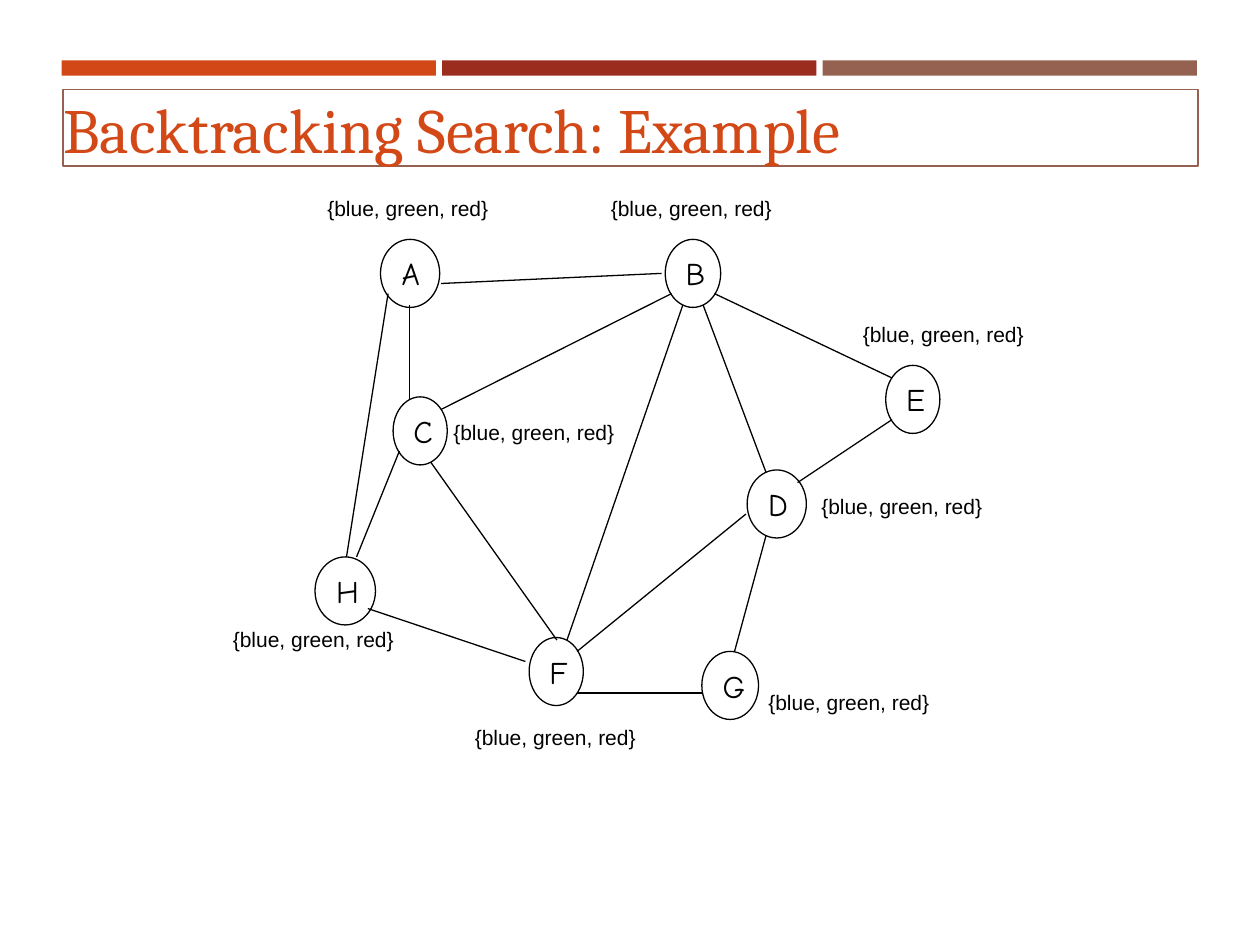
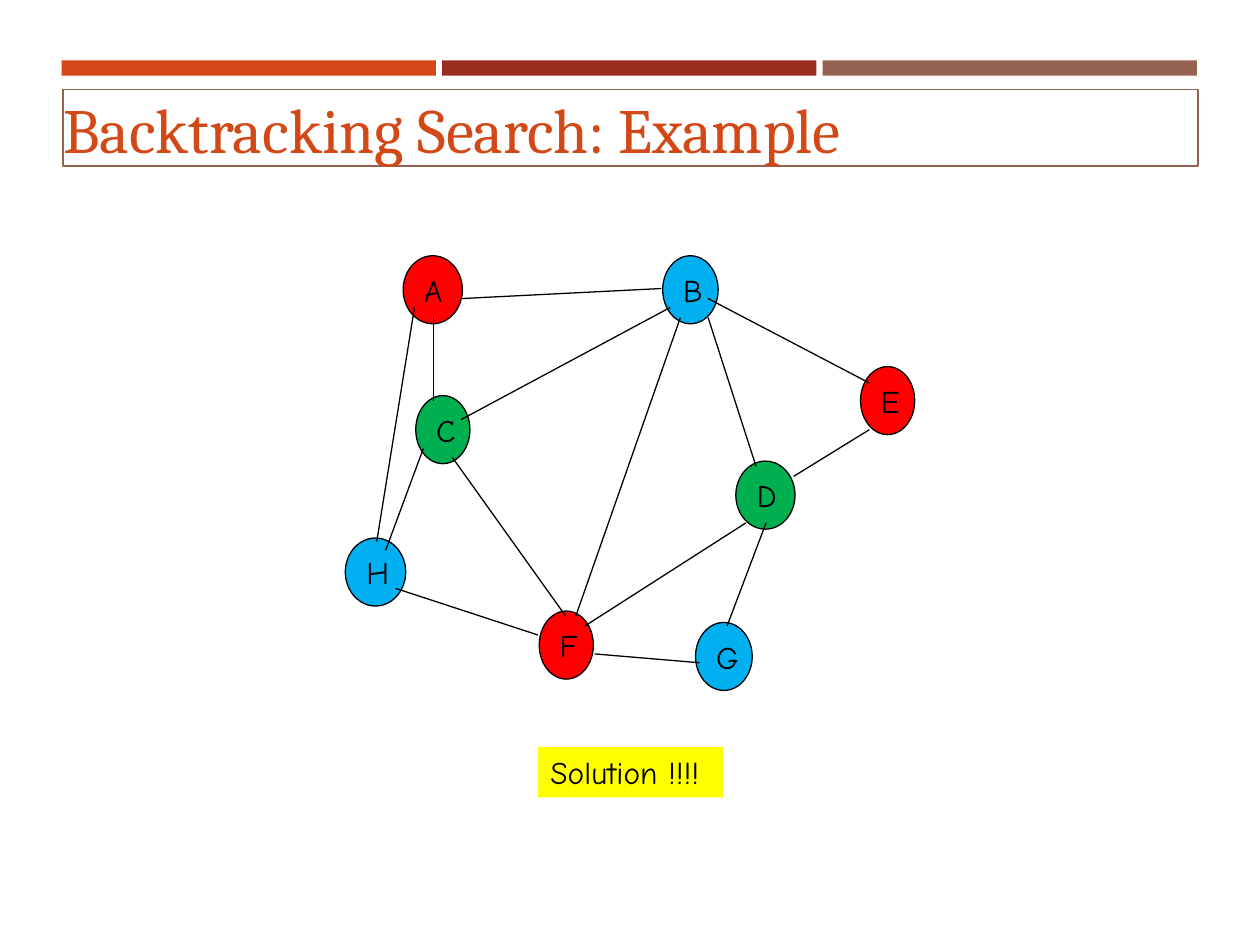
from lxml import etree
from pptx import Presentation
from pptx import util as u
from pptx.dml import color
from pptx.enum import shapes, text
from pptx.oxml import ns

COLOURS = {
    "orange": "D34817", "rust": "9B2D1F", "brown": "956251",
    "black": "000000", "red": "FF0000", "green": "00B050",
    "blue": "00B0F0", "yellow": "FFFF00",
}
NODE_WIDTHS = {"A": 0.47, "B": 0.44, "C": 0.43, "D": 0.47,
               "E": 0.43, "F": 0.43, "G": 0.45, "H": 0.48}
NODE_HEIGHT = 0.54
DOMAIN = "{blue, green, red}"

DOMAIN_NODES = {
    "A": (0.52, 0.4), "B": (2.78, 0.4), "C": (0.62, 1.65), "D": (3.43, 2.23),
    "E": (4.53, 1.4), "F": (1.7, 3.56), "G": (3.07, 3.67), "H": (0, 2.92),
}
DOMAIN_EDGES = {
    "AC": (0.75, 0.92, 0.75, 1.67), "CB": (1, 1.75, 2.83, 0.83),
    "FC": (1.92, 3.58, 0.92, 2.17), "FD": (2.08, 3.67, 3.42, 2.58),
    "AB": (1, 0.75, 2.75, 0.67), "FB": (2, 3.58, 2.92, 0.92),
    "BD": (3.08, 0.92, 3.58, 2.25), "BE": (3.17, 0.83, 4.58, 1.5),
    "DE": (3.83, 2.33, 4.58, 1.83), "FG": (2.08, 4, 3.08, 4),
    "DG": (3.58, 2.75, 3.33, 3.67), "CH": (0.67, 2.08, 0.33, 2.92),
    "HF": (0.42, 3.33, 1.67, 3.75), "AH": (0.58, 0.83, 0.25, 2.92),
}
DOMAIN_LABELS = {
    "A": (0, 0), "B": (2.25, 0), "C": (1, 1.78), "D": (3.92, 2.37),
    "E": (4.25, 1), "F": (1.17, 4.2), "G": (3.5, 3.92), "H": (-0.75, 3.42),
}

SOLUTION_NODES = {
    "A": (0.7, 0.03), "B": (2.76, 0.03), "C": (0.8, 1.14), "D": (3.34, 1.66),
    "E": (4.33, 0.91), "F": (1.78, 2.85), "G": (3.02, 2.94), "H": (0.24, 2.27),
}
SOLUTION_EDGES = {
    "AC": (0.94, 0.52, 0.94, 1.18), "CB": (1.16, 1.33, 2.82, 0.44),
    "FC": (1.99, 2.89, 1.09, 1.63), "FD": (2.14, 2.97, 3.42, 2.15),
    "AB": (1.16, 0.37, 2.75, 0.29), "FB": (2.07, 2.89, 2.9, 0.52),
    "BD": (3.12, 0.52, 3.5, 1.7), "BE": (3.12, 0.37, 4.4, 1.04),
    "DE": (3.8, 1.78, 4.4, 1.41), "FG": (2.22, 3.19, 3.05, 3.26),
    "DG": (3.58, 2.15, 3.27, 2.97), "CH": (0.86, 1.56, 0.56, 2.37),
    "HF": (0.64, 2.67, 1.77, 3.04), "AH": (0.79, 0.44, 0.49, 2.3),
}
SOLUTION_COLOURS = {"A": "red", "B": "blue", "C": "green", "D": "green",
                    "E": "red", "F": "red", "G": "blue", "H": "blue"}


def rgb(name):
    return color.RGBColor.from_string(COLOURS[name])


def add_box(slide, kind, box, fill=None, line=None, line_width=0.75):
    shape = slide.shapes.add_shape(kind, *map(u.Inches, box))
    shape.shadow.inherit = False
    if fill:
        shape.fill.solid()
        shape.fill.fore_color.rgb = rgb(fill)
    else:
        shape.fill.background()
    if line:
        shape.line.color.rgb = rgb(line)
        shape.line.width = u.Pt(line_width)
    else:
        shape.line.fill.background()
    return shape


def write(shape, words, font, size, colour="black", centred=False,
          middle=False, wrap=True):
    frame = shape.text_frame
    frame.word_wrap = wrap
    frame.auto_size = text.MSO_AUTO_SIZE.SHAPE_TO_FIT_TEXT
    frame.vertical_anchor = text.MSO_ANCHOR.MIDDLE if middle else text.MSO_ANCHOR.TOP
    paragraph = frame.paragraphs[0]
    paragraph.alignment = text.PP_ALIGN.CENTER if centred else text.PP_ALIGN.LEFT
    run = paragraph.add_run()
    run.text = words
    run.font.name = font
    run.font.size = u.Pt(size)
    run.font.color.rgb = rgb(colour)


def add_bands(slide, left, top):
    for index, name in enumerate(("orange", "rust", "brown")):
        add_box(slide, shapes.MSO_SHAPE.RECTANGLE,
                (left + index * 3.02, top, 2.97, 0.12), fill=name)


def add_title(slide, box, words):
    title = add_box(slide, shapes.MSO_SHAPE.RECTANGLE, box, line="brown", line_width=1)
    frame = title.text_frame
    frame.margin_left = frame.margin_right = frame.margin_top = frame.margin_bottom = 0
    write(title, words, "Cambria", 36, "orange", middle=True)


def add_graph(slide, left, top, nodes, edges, colours):
    for name, (x, y) in nodes.items():
        node = add_box(slide, shapes.MSO_SHAPE.OVAL,
                       (left + x, top + y, NODE_WIDTHS[name], NODE_HEIGHT),
                       fill=colours.get(name), line="black")
        write(node, name, "Comic Neue", 18, centred=True, middle=True, wrap=False)
    for x1, y1, x2, y2 in edges.values():
        ends = (left + x1, top + y1, left + x2, top + y2)
        edge = slide.shapes.add_connector(shapes.MSO_CONNECTOR.STRAIGHT,
                                          *map(u.Inches, ends))
        edge.line.color.rgb = rgb("black")
        edge.line.width = u.Pt(0.75)
        etree.SubElement(edge._element.spPr, ns.qn("a:effectLst"))


def add_domain_labels(slide, left, top, labels):
    for x, y in labels.values():
        label = slide.shapes.add_textbox(
            *map(u.Inches, (left + x, top + y, 1.5, 0.3)))
        write(label, DOMAIN, "Arial", 12)


def add_example_slide(presentation):
    slide = presentation.slides.add_slide(presentation.slide_layouts[6])
    add_bands(slide, 0.49, 0.48)
    add_title(slide, (0.5, 0.71, 9.01, 0.61), "Backtracking Search: Example")
    return slide


def add_domain_slide(presentation):
    slide = add_example_slide(presentation)
    add_graph(slide, 2.5, 1.5, DOMAIN_NODES, DOMAIN_EDGES, {})
    add_domain_labels(slide, 2.5, 1.5, DOMAIN_LABELS)


def add_solution_slide(presentation):
    slide = add_example_slide(presentation)
    add_graph(slide, 2.5, 2, SOLUTION_NODES, SOLUTION_EDGES, SOLUTION_COLOURS)
    banner = add_box(slide, shapes.MSO_SHAPE.RECTANGLE,
                     (4.27, 5.93, 1.47, 0.4), fill="yellow")
    write(banner, "Solution !!!!", "Comic Neue", 18, wrap=False)


def main():
    presentation = Presentation()
    presentation.slide_width = u.Inches(10)
    presentation.slide_height = u.Inches(7.5)
    add_domain_slide(presentation)
    add_solution_slide(presentation)
    presentation.save("out.pptx")


if __name__ == "__main__":
    main()
